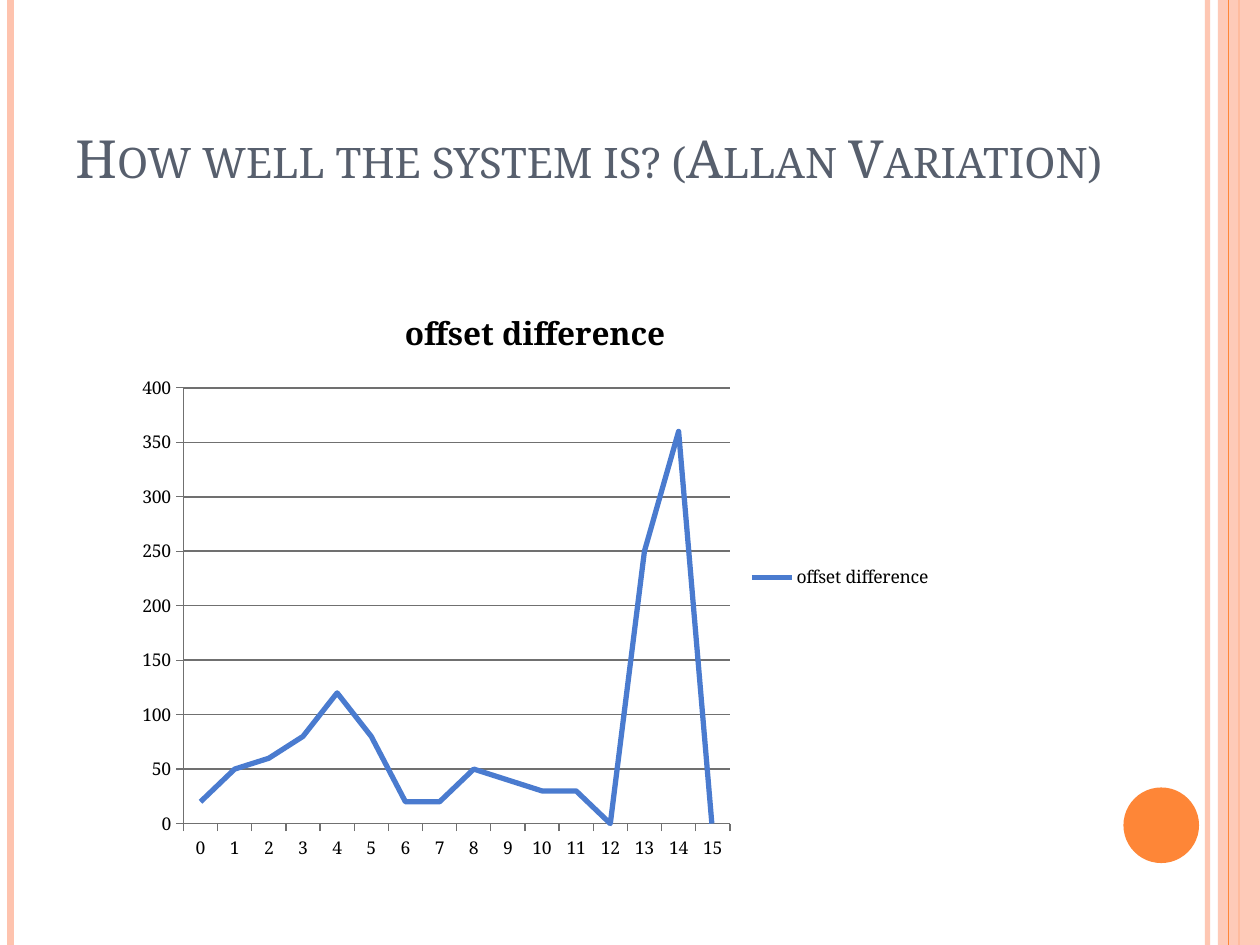
from lxml.etree import SubElement
from pptx import Presentation
from pptx.chart.data import CategoryChartData
from pptx.dml.color import RGBColor
from pptx.enum.chart import XL_CHART_TYPE, XL_LEGEND_POSITION, XL_MARKER_STYLE, XL_TICK_MARK
from pptx.enum.shapes import MSO_CONNECTOR, MSO_SHAPE
from pptx.enum.text import MSO_ANCHOR
from pptx.oxml.ns import qn
from pptx.util import Inches, Pt

COLORS = {"peach": "FEC3AE", "orange": "FE8637", "slate": "575F6D",
          "series": "4A7BCF", "grid": "707070", "black": "000000"}
FONT = "Noto Serif"
COLUMNS, ROWS = 120, 90
OFFSETS = [20, 50, 60, 80, 120, 80, 20, 20, 50, 40, 30, 30, 0, 250, 360, -10]


def apply(target, values):
    for name, value in values.items():
        setattr(target, name, value)


def set_alpha(properties, percent):
    color = next(properties.iter(qn("a:srgbClr")))
    SubElement(color, qn("a:alpha")).set("val", str(percent * 1000))


class SlideBuilder:
    """Places styled elements on a grid of COLUMNS by ROWS."""

    def __init__(self, deck):
        self.deck = deck
        self.slide = deck.slides.add_slide(deck.slide_layouts[6])
        self.shapes = self.slide.shapes

    def box(self, left, top, width, height):
        column = self.deck.slide_width / COLUMNS
        row = self.deck.slide_height / ROWS
        return [round(n) for n in (left * column, top * row, width * column, height * row)]

    def color(self, name):
        return RGBColor.from_string(COLORS[name])

    def style_font(self, font, size, color="black", bold=False):
        apply(font, {"name": FONT, "size": Pt(size), "bold": bold})
        font.color.rgb = self.color(color)

    def style_line(self, line, color, width):
        line.color.rgb = self.color(color)
        line.width = Pt(width)

    def stripe(self, column, color, width, opacity=100):
        """Draw a line down the full height of the slide."""
        x, top, _, height = self.box(column, 0, 0, ROWS)
        stripe = self.shapes.add_connector(MSO_CONNECTOR.STRAIGHT, x, top, x, height)
        self.style_line(stripe.line, color, width)
        properties = stripe._element.spPr
        if opacity < 100:
            set_alpha(properties, opacity)
        SubElement(properties, qn("a:effectLst"))

    def block(self, preset, area, color, opacity=100):
        block = self.shapes.add_shape(preset, *self.box(*area))
        block.shadow.inherit = False
        block.fill.solid()
        block.fill.fore_color.rgb = self.color(color)
        block.line.fill.background()
        if opacity < 100:
            set_alpha(block._element.spPr, opacity)

    def heading(self, text, area):
        frame = self.shapes.add_textbox(*self.box(*area)).text_frame
        apply(frame, {"word_wrap": True, "vertical_anchor": MSO_ANCHOR.BOTTOM})
        run = frame.paragraphs[0].add_run()
        run.text = text
        self.style_font(run.font, 30, "slate")
        run._r.get_or_add_rPr().set("cap", "small")

    def line_chart(self, title, values, area):
        data = CategoryChartData()
        data.categories = [str(n) for n in range(len(values))]
        data.add_series(title, values)
        chart = self.shapes.add_chart(XL_CHART_TYPE.LINE, *self.box(*area), data).chart
        self.style_font(chart.font, 10)
        apply(chart, {"has_title": True, "has_legend": True})
        apply(chart.legend, {"position": XL_LEGEND_POSITION.RIGHT, "include_in_layout": False})

        heading = chart.chart_title.text_frame
        heading.text = title
        self.style_font(heading.paragraphs[0].runs[0].font, 18, bold=True)

        apply(chart.value_axis, {"minimum_scale": 0, "maximum_scale": 400,
                                 "major_unit": 50, "has_major_gridlines": True})
        self.style_line(chart.value_axis.major_gridlines.format.line, "grid", 0.85)
        for axis in (chart.category_axis, chart.value_axis):
            apply(axis, {"major_tick_mark": XL_TICK_MARK.OUTSIDE,
                         "minor_tick_mark": XL_TICK_MARK.NONE})
            self.style_line(axis.format.line, "grid", 0.75)

        chart.plots[0].vary_by_categories = False
        offset_line = chart.plots[0].series[0]
        offset_line.smooth = False
        offset_line.marker.style = XL_MARKER_STYLE.NONE
        self.style_line(offset_line.format.line, "series", 3)


def main():
    deck = Presentation()
    apply(deck, {"slide_width": Inches(10), "slide_height": Inches(7.5)})
    page = SlideBuilder(deck)
    page.stripe(115, "peach", 3, opacity=93)
    page.stripe(1, "peach", 4.5)
    page.stripe(118, "orange", 1.5)
    page.block(MSO_SHAPE.RECTANGLE, (116, 0, 4, ROWS), "peach", opacity=87)
    page.stripe(117, "orange", 0.75)
    page.block(MSO_SHAPE.OVAL, (107, 75, 7.2, 7.2), "orange")
    page.heading("How well the system is? (Allan Variation)", (6, 3.6, 110, 15))
    page.line_chart("offset difference", OFFSETS, (12, 27, 78, 56))
    deck.save("out.pptx")


if __name__ == "__main__":
    main()
